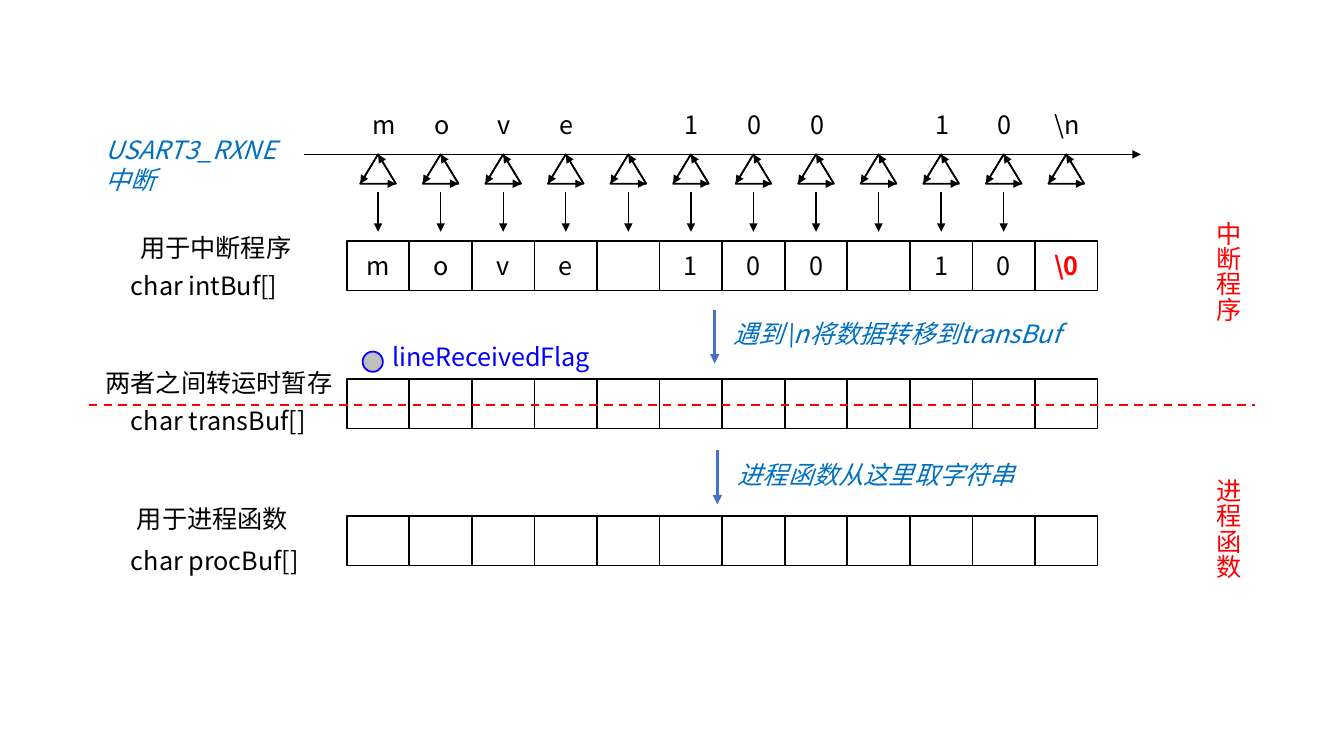
from pptx import Presentation
from pptx.dml.color import RGBColor
from pptx.enum import dml, shapes, text
from pptx.oxml import ns
from pptx.util import Cm, Pt
from lxml import etree

FONT = "Noto Sans CJK SC"
BLACK = RGBColor(0x00, 0x00, 0x00)
RED = RGBColor(0xFF, 0x00, 0x00)
SKY = RGBColor(0x00, 0x70, 0xC0)
STEEL = RGBColor(0x44, 0x72, 0xC4)
BLUE = RGBColor(0x00, 0x00, 0xFF)
GREY = RGBColor(0xBF, 0xBF, 0xBF)

RECEIVED = ["m", "o", "v", "e", "", "1", "0", "0", "", "1", "0", r"\n"]
STORED = RECEIVED[:-1] + [r"\0"]
EMPTY = [""] * len(RECEIVED)

ROW_LEFT = 8.74
CELL_WIDTH = 18.92 / len(RECEIVED)
CELL_HEIGHT = 1.25
AXIS_Y = 3.89
TRIANGLE_WIDTH = 0.9
TRIANGLE_HEIGHT = 0.74


def write(frame, words, color, align=None, bold=None, italic=None):
    paragraph = frame.paragraphs[0]
    paragraph.alignment = align
    run = paragraph.add_run()
    run.text = words
    font = run.font
    font.name, font.size = FONT, Pt(18)
    font.bold, font.italic = bold, italic
    font.color.rgb = color
    east_asian = etree.SubElement(run._r.get_or_add_rPr(), ns.qn("a:ea"))
    east_asian.set("typeface", FONT)


def add_label(slide, words, left, top, width, height=1.02, color=BLACK,
              align=None, italic=None, wrap=False, vertical=False):
    frame = slide.shapes.add_textbox(Cm(left), Cm(top), Cm(width), Cm(height)).text_frame
    frame.word_wrap = wrap
    frame.auto_size = text.MSO_AUTO_SIZE.SHAPE_TO_FIT_TEXT
    if vertical:
        frame._txBody.bodyPr.set("vert", "eaVert")
    write(frame, words, color, align, italic=italic)


def add_outline(parent, kind, left, top, width, height, color=BLACK, fill=None):
    outline = parent.shapes.add_shape(kind, Cm(left), Cm(top), Cm(width), Cm(height))
    outline.shadow.inherit = False
    outline.line.color.rgb = color
    outline.line.width = Pt(1.25)
    if fill is None:
        outline.fill.background()
    else:
        outline.fill.solid()
        outline.fill.fore_color.rgb = fill
    return outline


def add_line(slide, start, end, color=BLACK, weight=1, arrow=True):
    line = slide.shapes.add_connector(
        shapes.MSO_CONNECTOR.STRAIGHT, *(Cm(value) for value in (*start, *end)))
    line.line.color.rgb = color
    line.line.width = Pt(weight)
    properties = line._element.spPr
    if arrow:
        tail = etree.SubElement(properties.find(ns.qn("a:ln")), ns.qn("a:tailEnd"))
        tail.set("type", "triangle")
    etree.SubElement(properties, ns.qn("a:effectLst"))
    return line


def add_buffer(slide, top, characters):
    buffer = slide.shapes.add_group_shape()
    for index, character in enumerate(characters):
        cell = add_outline(buffer, shapes.MSO_SHAPE.RECTANGLE,
                           ROW_LEFT + index * CELL_WIDTH, top, CELL_WIDTH, CELL_HEIGHT)
        if character:
            frame = cell.text_frame
            frame.word_wrap = False
            frame.vertical_anchor = text.MSO_ANCHOR.MIDDLE
            terminator = character == r"\0"
            write(frame, character, RED if terminator else BLACK,
                  text.PP_ALIGN.CENTER, bold=terminator)


def add_interrupt(slide, center, character):
    left = center - TRIANGLE_WIDTH / 2
    bottom = AXIS_Y + TRIANGLE_HEIGHT
    add_outline(slide, shapes.MSO_SHAPE.ISOSCELES_TRIANGLE,
                left, AXIS_Y, TRIANGLE_WIDTH, TRIANGLE_HEIGHT)
    corners = [(center, AXIS_Y), (left, bottom), (left + TRIANGLE_WIDTH, bottom)]
    for start, end in zip(corners, corners[1:] + corners[:1]):
        add_line(slide, start, end)
    if character:
        width = 1.14 if len(character) > 1 else 0.84
        add_label(slide, character, center - width / 2 + 0.02, 2.62, width,
                  align=text.PP_ALIGN.CENTER)
    if character != r"\n":
        add_line(slide, (center, 4.85), (center, 5.84))


def main():
    deck = Presentation()
    deck.slide_width, deck.slide_height = Cm(33.87), Cm(19.05)
    slide = deck.slides.add_slide(deck.slide_layouts[6])

    add_line(slide, (7.65, AXIS_Y), (28.75, AXIS_Y))
    for index, character in enumerate(RECEIVED):
        add_interrupt(slide, ROW_LEFT + (index + 0.5) * CELL_WIDTH, character)

    for top, characters in [(6.07, STORED), (9.55, EMPTY), (13, EMPTY)]:
        add_buffer(slide, top, characters)

    for words, left, top, width in [
        ("用于中断程序", 3.28, 5.72, 4.37),
        ("char intBuf[]", 3.05, 6.68, 4.67),
        ("两者之间转运时暂存", 2.41, 9.12, 6.27),
        ("char transBuf[]", 3.05, 10.08, 5.33),
        ("用于进程函数", 3.2, 12.57, 4.37),
        ("char procBuf[]", 3.05, 13.61, 5),
    ]:
        add_label(slide, words, left, top, width)

    for words, left, top, width, wrap in [
        ("USART3_RXNE中断", 2.41, 3.25, 5.33, True),
        (r"遇到\n将数据转移到transBuf", 18.24, 7.9, 8.84, True),
        ("进程函数从这里取字符串", 18.34, 11.46, 7.57, False),
    ]:
        add_label(slide, words, left, top, width, color=SKY, italic=True, wrap=wrap)

    for x, top in [(18.01, 7.8), (18.08, 11.35)]:
        add_line(slide, (x, top), (x, top + 1.36), STEEL, 2.25)

    boundary = add_line(slide, (2.24, 10.21), (31.62, 10.21), RED, 1.5, arrow=False)
    boundary.line.dash_style = dml.MSO_LINE.DASH
    for words, top in [("中断程序", 5.33), ("进程函数", 11.81)]:
        add_label(slide, words, 30.18, top, 1.27, 2.82, color=RED, vertical=True)

    add_label(slide, "lineReceivedFlag", 9.63, 8.48, 5.64, color=BLUE)
    add_outline(slide, shapes.MSO_SHAPE.OVAL, 9.14, 8.86, 0.51, 0.51, BLUE, GREY)

    deck.save("out.pptx")


if __name__ == "__main__":
    main()
